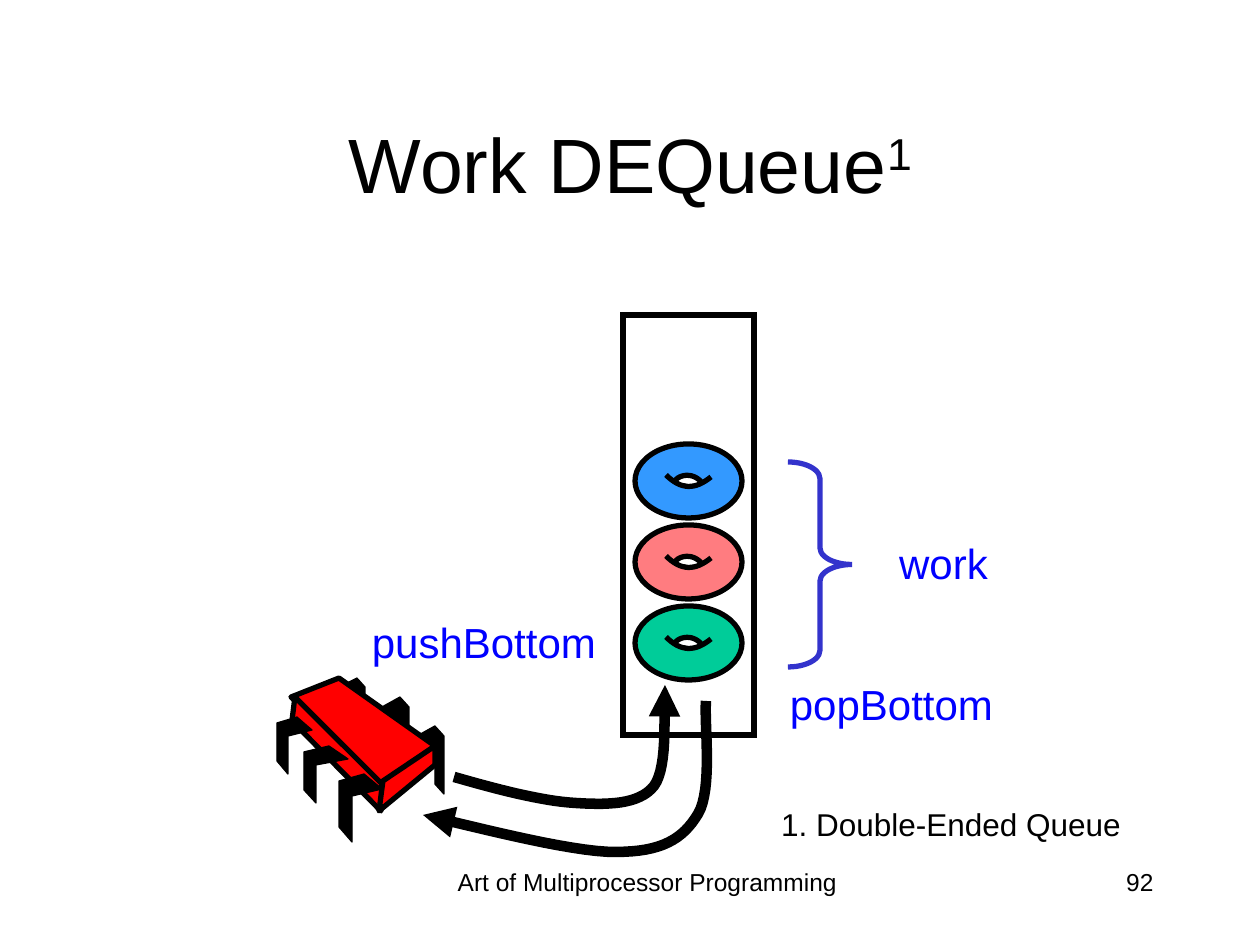
from itertools import chain

from lxml.etree import SubElement
from pptx import Presentation
from pptx.dml.color import RGBColor
from pptx.enum.shapes import MSO_SHAPE
from pptx.enum.text import MSO_ANCHOR, MSO_AUTO_SIZE, PP_ALIGN
from pptx.oxml.ns import qn
from pptx.util import Emu, Inches, Pt

PX_PER_INCH = 126
EMU_PER_PX = Inches(1) / PX_PER_INCH
BLACK = RGBColor(0x00, 0x00, 0x00)
WHITE = RGBColor(0xFF, 0xFF, 0xFF)
RED = RGBColor(0xFF, 0x00, 0x00)
BLUE = RGBColor(0x00, 0x00, 0xFF)
BRACE_BLUE = RGBColor(0x33, 0x33, 0xCC)
TASK_COLOURS = [
    RGBColor(0x33, 0x99, 0xFF),
    RGBColor(0xFF, 0x7C, 0x80),
    RGBColor(0x00, 0xCC, 0x99),
]

HOLE = [(40, 38), (43, 39), (45, 40), (49, 40), (57, 42), (67, 40),
        (60, 33), (58, 31), (45, 33), (42, 35)]
HOLE_TOP = [(39, 38), (45, 29), (60, 29), (67, 39)]
HOLE_BOTTOM = [(31, 31), (46, 46), (60, 46), (76, 33)]

BACK_LEG = [(417, 736), (435, 726), (444, 736), (444, 794),
            (435, 784), (435, 746), (417, 755)]
FAR_LEG = [(339, 687), (357, 678), (365, 687), (365, 736),
           (357, 727), (357, 694), (339, 703)]
CHIP_FACES = [
    [(339, 678), (435, 746), (381, 785), (291, 697)],
    [(295, 697), (382, 784), (381, 811), (292, 721)],
    [(435, 746), (435, 765), (379, 811), (383, 781)],
]
FRONT_LEGS = [
    [(364, 774), (382, 789), (352, 796), (352, 842), (339, 827), (339, 781)],
    [(329, 746), (348, 759), (316, 765), (316, 803), (304, 790), (304, 752)],
    [(297, 717), (312, 730), (288, 736), (288, 774), (277, 761), (277, 723)],
]

PUSH_CURVE = [(454, 777), (496, 789), (541, 801), (575, 803), (607, 805),
              (639, 805), (654, 786), (669, 766), (663, 707), (665, 685)]
POP_CURVE = [(423, 815), (456, 822), (571, 853), (616, 852), (662, 852),
             (683, 839), (698, 814), (713, 789), (704, 723), (706, 701)]


def emu(px):
    return Emu(round(px * EMU_PER_PX))


def shifted(points, dx, dy):
    return [(x + dx, y + dy) for x, y in points]


def bezier(start, first, second, end, steps=16):
    for step in range(1, steps + 1):
        t = step / steps
        u = 1 - t
        weights = (u ** 3, 3 * u * u * t, 3 * u * t * t, t ** 3)
        yield tuple(
            sum(weight * point[axis] for weight, point in
                zip(weights, (start, first, second, end)))
            for axis in (0, 1)
        )


def curve_points(controls):
    pieces = (bezier(*controls[i:i + 4]) for i in range(0, len(controls) - 1, 3))
    return [controls[0], *chain.from_iterable(pieces)]


class SlideArtist:
    font_name = "Arial"

    def __init__(self, page):
        self.page = page

    def style(self, shape, fill, line, width):
        shape.shadow.inherit = False
        if fill is None:
            shape.fill.background()
        else:
            shape.fill.solid()
            shape.fill.fore_color.rgb = fill
        shape.line.color.rgb = line
        shape.line.width = Pt(width)
        return shape

    def preset(self, kind, left, top, width, height, fill=None, line=BLACK):
        shape = self.page.shapes.add_shape(
            kind, emu(left), emu(top), emu(width), emu(height))
        self.style(shape, fill, line, 3)
        SubElement(shape.line._get_or_add_ln(), qn("a:miter"), lim="800000")
        return shape

    def outline(self, points, fill=None, width=3, close=False):
        scaled = [(emu(x), emu(y)) for x, y in points]
        builder = self.page.shapes.build_freeform(*scaled[0], scale=1.0)
        builder.add_line_segments(scaled[1:], close=close)
        return self.style(builder.convert_to_shape(), fill, BLACK, width)

    def arrow(self, controls, end):
        shape = self.outline(curve_points(controls), width=6)
        SubElement(shape.line._get_or_add_ln(), qn(f"a:{end}"), type="triangle")

    def text(self, left, top, width, height, spans, size, colour=BLACK,
             align=PP_ALIGN.CENTER, anchor=MSO_ANCHOR.TOP, wrap=True):
        box = self.page.shapes.add_textbox(
            emu(left), emu(top), emu(width), emu(height))
        frame = box.text_frame
        frame.word_wrap = wrap
        frame.auto_size = MSO_AUTO_SIZE.NONE if wrap else MSO_AUTO_SIZE.SHAPE_TO_FIT_TEXT
        frame.vertical_anchor = anchor
        para = frame.paragraphs[0]
        para.alignment = align
        for words, baseline in spans:
            span = para.add_run()
            span.text = words
            span.font.name = self.font_name
            span.font.size = Pt(size)
            span.font.color.rgb = colour
            if baseline:
                span.font._element.set("baseline", str(baseline * 1000))

    def label(self, left, top, width, height, words, size=24, colour=BLUE):
        self.text(left, top, width, height, [(words, 0)], size, colour, wrap=False)

    def task(self, left, top, colour):
        self.preset(MSO_SHAPE.OVAL, left, top, 107, 74, colour)
        self.outline(shifted(HOLE, left, top), WHITE, 0.75, close=True)
        for rim in (HOLE_TOP, HOLE_BOTTOM):
            self.outline(curve_points(shifted(rim, left, top)))

    def chip(self):
        back_legs = [BACK_LEG, shifted(BACK_LEG, -35, -29), FAR_LEG]
        for parts, fill, width in ((back_legs, BLACK, 0.75),
                                   (CHIP_FACES, RED, 3),
                                   (FRONT_LEGS, BLACK, 0.75)):
            for points in parts:
                self.outline(points, fill, width, close=True)


def main():
    deck = Presentation()
    deck.slide_width = emu(1260)
    deck.slide_height = emu(945)
    artist = SlideArtist(deck.slides.add_slide(deck.slide_layouts[6]))

    artist.text(430, 861, 435, 63, [("Art of Multiprocessor Programming", 0)], 14)
    artist.text(904, 861, 262, 63, [("92", 0)], 14, align=PP_ALIGN.RIGHT)
    artist.text(95, 84, 1071, 158, [("Work DEQueue", 0), ("1", 30)], 44,
                anchor=MSO_ANCHOR.MIDDLE)

    artist.preset(MSO_SHAPE.RECTANGLE, 623, 315, 131, 420)
    artist.chip()
    artist.arrow(PUSH_CURVE, "tailEnd")
    artist.arrow(POP_CURVE, "headEnd")
    artist.label(358, 610, 252, 63, "pushBottom")
    artist.label(776, 672, 231, 63, "popBottom")

    for index, colour in enumerate(TASK_COLOURS):
        artist.task(635, 444 + 81 * index, colour)

    brace = artist.preset(MSO_SHAPE.RIGHT_BRACE, 788, 462, 64, 205, line=BRACE_BLUE)
    brace.adjustments[0] = 0.26
    artist.label(883, 531, 121, 63, "work")
    artist.label(764, 799, 374, 50, "1. Double-Ended Queue", 18, BLACK)

    deck.save("out.pptx")


if __name__ == "__main__":
    main()
